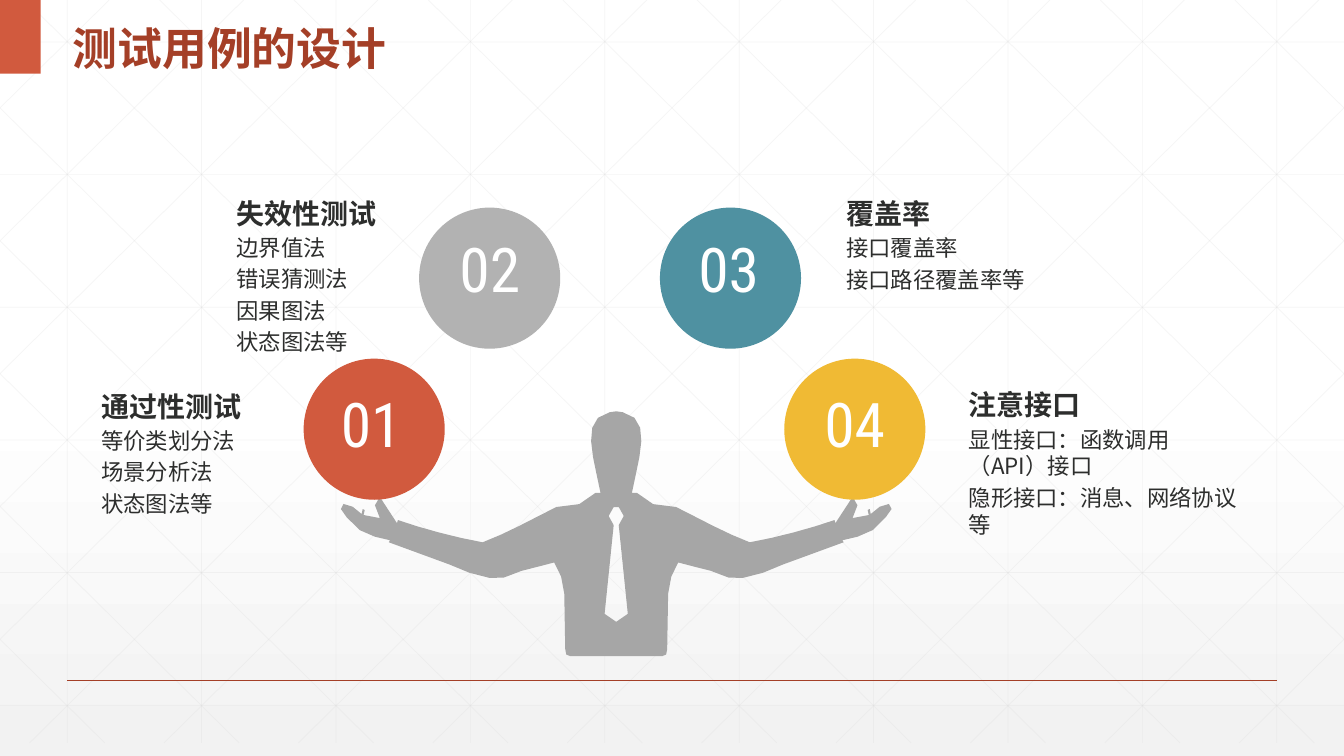
from dataclasses import dataclass
from itertools import pairwise
from math import dist

from lxml.etree import SubElement
from pptx import Presentation
from pptx.dml.color import RGBColor
from pptx.enum.shapes import MSO_CONNECTOR, MSO_SHAPE
from pptx.enum.text import MSO_ANCHOR, PP_ALIGN
from pptx.oxml.ns import qn
from pptx.util import Pt

PAGE_WIDTH, PAGE_HEIGHT = 960, 540
CJK_FONT, NUMBER_FONT = "Noto Sans CJK SC", "Roboto Condensed"
RED, DARK_RED, INK, WHITE = "D15A3E", "A43F27", "2D2E2D", "FFFFFF"
GRID_BOTTOM, GRID_STEP = 530.6, 96
DIAGONAL_RUN = 536.8
BALL_SIZE = 100.8
FIGURE_CENTER = 440.2

Point = tuple[float, float]


@dataclass
class Topic:
    number: str
    color: str
    ball: Point
    number_at: Point
    text_at: Point
    text_size: Point
    heading: str
    items: list[str]


TOPICS = [
    Topic("02", "B2B2B2", (299.4, 148.3), (316.1, 161.4), (161.8, 136.6), (225.4, 124.6),
          "失效性测试", ["边界值法", "错误猜测法", "因果图法", "状态图法等"]),
    Topic("01", RED, (216.9, 256.2), (231.4, 272.2), (65.3, 274.3), (211.7, 101.5),
          "通过性测试", ["等价类划分法", "场景分析法", "状态图法等"]),
    Topic("03", "4F91A1", (471.4, 148.3), (486.7, 161.4), (597.4, 136.6), (211.7, 77.8),
          "覆盖率", ["接口覆盖率", "接口路径覆盖率等"]),
    Topic("04", "F0BA34", (560.2, 256.2), (576.7, 272.2), (684.9, 273.3), (211.7, 116.6),
          "注意接口", ["显性接口：函数调用（API）接口", "隐形接口：消息、网络协议等"]),
]

# Right half of the figure, x from its axis: one point is a line, three are a curve
BODY_HALF = [
    [(0, 293.8)], [(4.7, 294.5)],
    [(26.3, 298.8), (16.2, 326.2), (11.2, 352.1)], [(14.8, 352.1)],
    [(19.8, 359.3), (31.3, 362.9), (42.8, 362.2)],
    [(60.1, 370.8), (78.1, 380.9), (95.4, 387.4)],
    [(115.6, 383.8), (139.3, 377.3), (155.9, 371.5)],
    [(156.6, 373.7)], [(168.8, 355)],
    [(178.2, 355.7), (168.8, 365), (168.8, 370.1)],
    [(180.4, 367.9)], [(179.6, 364.3)], [(181.1, 363.6)], [(181.8, 367.2)],
    [(186.1, 365), (190.4, 357.8), (194.8, 360)],
    [(202, 360.7), (193.3, 365.8), (192.6, 369.4)],
    [(184.7, 381.6), (171.7, 383.8), (161.6, 385.9)],
    [(162.4, 387.4)], [(119.2, 403.2)],
    [(106.2, 409.7), (86.8, 415.4), (80.3, 412.6)],
    [(66.6, 406.1), (55.8, 405.4), (44.3, 401.8)],
    [(40, 407.5), (37.8, 415.4), (37.1, 424.1)], [(36.4, 463.7)],
    [(35.6, 465.8), (36.4, 470.2), (32.8, 468.7)],
]
TIE_HALF = [[(1.8, 362.2)], [(5.4, 368.6)], [(1.8, 375.1)], [(8.3, 438.5)], [(0, 444.2)]]


def color_of(value: str) -> RGBColor:
    return RGBColor.from_string(value)


def add_line(page, start: Point, end: Point, color: str, width: float, opacity: int = 100) -> None:
    line = page.shapes.add_connector(MSO_CONNECTOR.STRAIGHT, *map(Pt, (*start, *end)))
    line.line.color.rgb = color_of(color)
    line.line.width = Pt(width)
    properties = line._element.spPr
    SubElement(properties, qn("a:effectLst"))
    if opacity < 100:
        fill_color = next(properties.iter(qn("a:srgbClr")))
        SubElement(fill_color, qn("a:alpha")).set("val", str(opacity * 1000))


def paint(shape, color: str) -> None:
    shape.shadow.inherit = False
    shape.fill.solid()
    shape.fill.fore_color.rgb = color_of(color)
    shape.line.fill.background()


def add_shape(page, kind: MSO_SHAPE, at: Point, size: Point, color: str) -> None:
    paint(page.shapes.add_shape(kind, *map(Pt, (*at, *size))), color)


def add_box(page, at: Point, size: Point, text: str):
    box = page.shapes.add_textbox(*map(Pt, (*at, *size)))
    box.text_frame.word_wrap = True
    box.text_frame.text = text
    return box.text_frame


def style(para, size: float, color: str, font: str, bold: bool = False) -> None:
    for span in para.runs:
        span.font.size = Pt(size)
        span.font.bold = bold
        span.font.color.rgb = color_of(color)
        span.font.name = font
        SubElement(span.font._element, qn("a:ea")).set("typeface", font)


def add_grid(page) -> None:
    def grid_line(start: Point, end: Point) -> None:
        add_line(page, start, end, "D9D9D9", 0.5, 25)

    for column in range(10):
        x = 48 + GRID_STEP * column
        grid_line((x, 0), (x, GRID_BOTTOM))
    for row in range(6):
        y = 30 + 94.75 * row
        grid_line((0, y), (PAGE_WIDTH, y))
    # Diagonals, cut at the page sides, and their mirror images
    slope = GRID_BOTTOM / DIAGONAL_RUN
    for step in range(-5, 10):
        origin = 18 + GRID_STEP * step
        left, right = max(origin, 0), min(origin + DIAGONAL_RUN, PAGE_WIDTH)
        top, bottom = (left - origin) * slope, (right - origin) * slope
        grid_line((left, top), (right, bottom))
        grid_line((PAGE_WIDTH - left, top), (PAGE_WIDTH - right, bottom))


def flatten(segments: list[list[Point]]) -> list[Point]:
    points: list[Point] = []
    for segment in segments:
        if len(segment) == 1:
            points += segment
            continue
        corners = [points[-1], *segment]
        # Longer curves get more steps
        steps = max(2, round(sum(dist(a, b) for a, b in pairwise(corners)) / 14))
        for step in range(1, steps + 1):
            t = step / steps
            weights = ((1 - t) ** 3, 3 * t * (1 - t) ** 2, 3 * t * t * (1 - t), t ** 3)
            x, y = (sum(w * c[axis] for w, c in zip(weights, corners)) for axis in (0, 1))
            points.append((x, y))
    return points


def mirrored_outline(half: list[list[Point]]) -> list[tuple[Pt, Pt]]:
    right = flatten(half)
    left = [(-x, y) for x, y in reversed(right) if x]
    return [(Pt(FIGURE_CENTER + x), Pt(y)) for x, y in right + left]


def add_figure(page) -> None:
    body, tie = mirrored_outline(BODY_HALF), mirrored_outline(TIE_HALF)
    builder = page.shapes.build_freeform(*body[0], scale=1.0)
    builder.add_line_segments(body[1:], close=True)
    builder.move_to(*tie[0])
    builder.add_line_segments(tie[1:], close=True)
    paint(builder.convert_to_shape(), "A6A6A6")


def add_ball(page, topic: Topic) -> None:
    add_shape(page, MSO_SHAPE.OVAL, topic.ball, (BALL_SIZE, BALL_SIZE), topic.color)
    para = add_box(page, topic.number_at, (67.7, 60.5), topic.number).paragraphs[0]
    para.alignment = PP_ALIGN.CENTER
    style(para, 44, WHITE, NUMBER_FONT)


def add_topic_text(page, topic: Topic) -> None:
    frame = add_box(page, topic.text_at, topic.text_size, "\n".join([topic.heading, *topic.items]))
    for index, para in enumerate(frame.paragraphs):
        size = 16 if index else 20
        para.line_spacing = Pt(1.2 * size)
        para.space_before = Pt(3.2 if index else 0)
        style(para, size, INK, CJK_FONT, bold=index == 0)


def main() -> None:
    deck = Presentation()
    deck.slide_width, deck.slide_height = Pt(PAGE_WIDTH), Pt(PAGE_HEIGHT)
    page = deck.slides.add_slide(deck.slide_layouts[6])

    # Background
    backdrop = page.background.fill
    backdrop.gradient()
    backdrop.gradient_angle = 270
    for stop, position, color in zip(backdrop.gradient_stops, (0.53, 1), (WHITE, "F2F2F2")):
        stop.position = position
        stop.color.rgb = color_of(color)
    add_grid(page)
    add_line(page, (48, 486), (912, 486), DARK_RED, 1)

    # Title
    add_shape(page, MSO_SHAPE.RECTANGLE, (0, 0), (29.1, 52.6), RED)
    title = add_box(page, (44.8, 2), (409.7, 52.6), "测试用例的设计")
    title.vertical_anchor = MSO_ANCHOR.MIDDLE
    title.paragraphs[0].line_spacing = 1.3
    style(title.paragraphs[0], 32, DARK_RED, CJK_FONT, bold=True)

    # Figure juggling the topics
    add_figure(page)
    for topic in TOPICS:
        add_ball(page, topic)
    for topic in TOPICS:
        add_topic_text(page, topic)

    deck.save("out.pptx")


if __name__ == "__main__":
    main()
